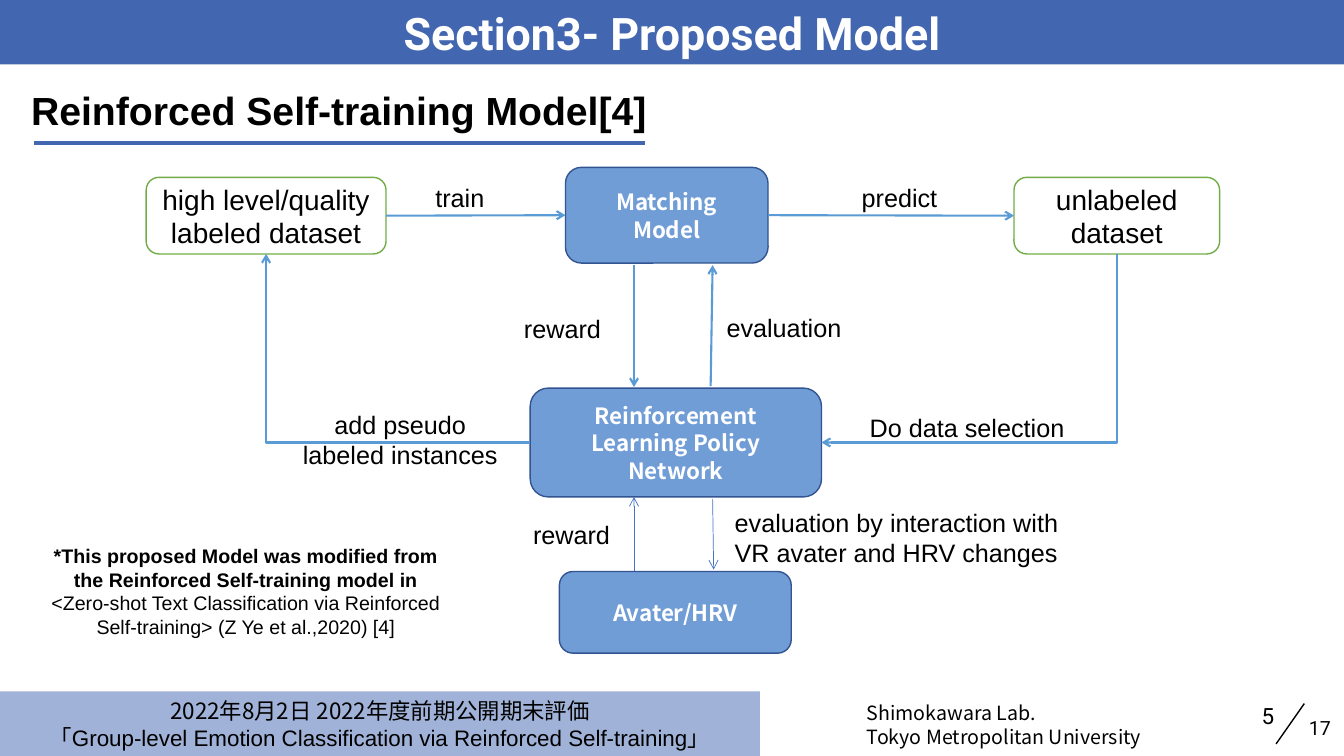
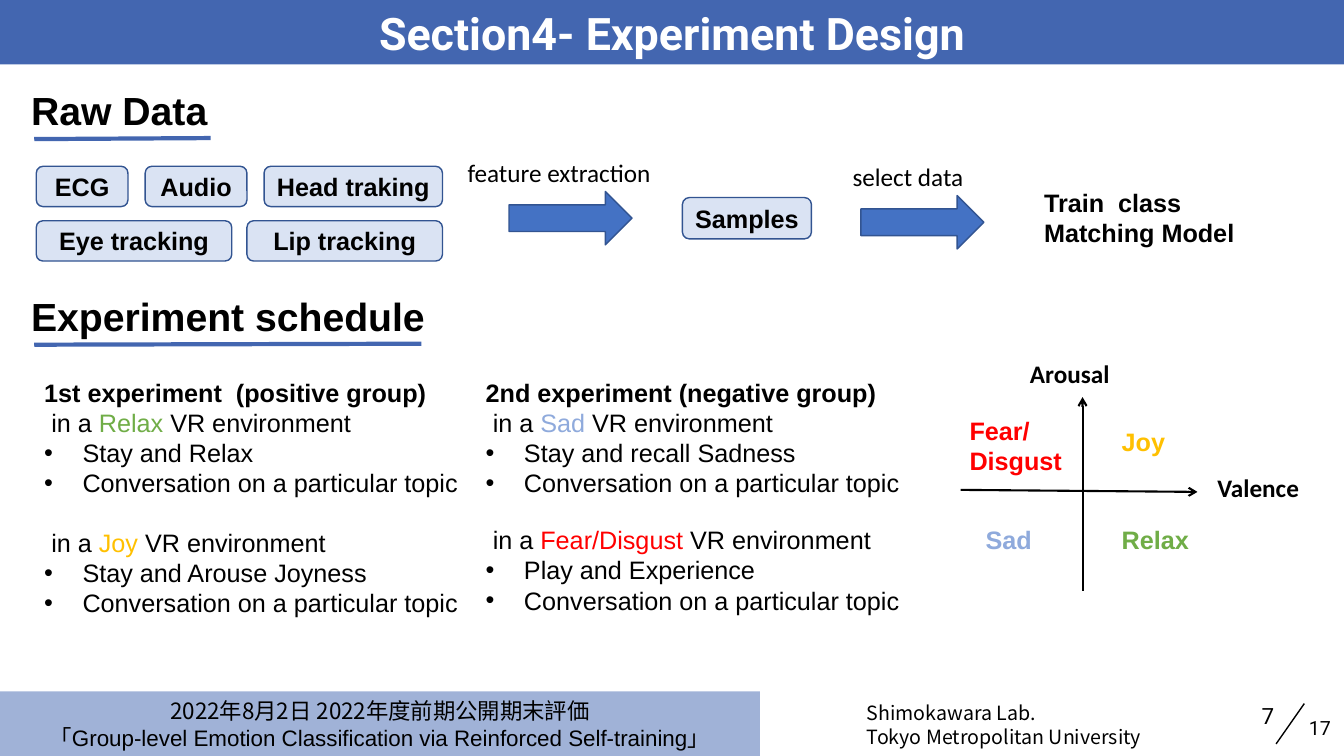
from lxml import etree
from pptx import Presentation
from pptx import util as u
from pptx.dml.color import RGBColor
from pptx.enum import shapes, text
from pptx.oxml import ns

PX = 9144  # EMU, one hundredth of an inch
COLOURS = {
    "band": "4366B0", "black": "000000", "white": "FFFFFF",
    "model": "719DD7", "outline": "325491", "data": "DAE3F3",
    "flow": "5B9BD5", "arrow": "4472C4", "green": "70AD47",
    "yellow": "FFC000", "blue": "8FAADC", "red": "FF0000",
}
CJK = "Noto Sans CJK JP"
LEFT, CENTRE, RIGHT = text.PP_ALIGN.LEFT, text.PP_ALIGN.CENTER, text.PP_ALIGN.RIGHT
RECT = shapes.MSO_SHAPE.RECTANGLE
ROUNDED = shapes.MSO_SHAPE.ROUNDED_RECTANGLE
BLOCK_ARROW = shapes.MSO_SHAPE.RIGHT_ARROW
STRAIGHT, ELBOW = shapes.MSO_CONNECTOR.STRAIGHT, shapes.MSO_CONNECTOR.ELBOW


def add_box(page, place, lines=(), kind=None, fill=None, outline=None, align=LEFT, **style):
    """Fill the title, a preset shape or a text box (kind None).

    A line is a string or a list of (text, style changes) runs.
    """
    left, top, width, height = [value * PX for value in place]
    if kind == "title":
        box = page.shapes.title
        box.left, box.top, box.width, box.height = left, top, width, height
    elif kind is None:
        box = page.shapes.add_textbox(left, top, width, height)
    else:
        box = page.shapes.add_shape(kind, left, top, width, height)
        box.shadow.inherit = False
        if outline:
            box.line.color.rgb = RGBColor.from_string(COLOURS[outline])
            box.line.width = u.Pt(1)
        else:
            box.line.fill.background()
    if fill:
        box.fill.solid()
        box.fill.fore_color.rgb = RGBColor.from_string(COLOURS[fill])

    frame = box.text_frame
    frame.word_wrap = True
    frame.auto_size = text.MSO_AUTO_SIZE.NONE
    frame.vertical_anchor = text.MSO_ANCHOR.TOP
    if kind is not None:
        frame.vertical_anchor = text.MSO_ANCHOR.MIDDLE
        frame.margin_left = frame.margin_right = 5 * PX
    base = {"size": 18, "font": "Arial", "colour": "black", "bold": False} | style
    for number, line in enumerate(lines):
        para = frame.add_paragraph() if number else frame.paragraphs[0]
        para.alignment = align
        if base["font"] == CJK:
            para.line_spacing = u.Pt(1.22 * base["size"])
        for words, changes in [(line, {})] if isinstance(line, str) else line:
            look = base | changes
            span = para.add_run()
            span.text = words
            span.font.size = u.Pt(look["size"])
            span.font.bold = look["bold"]
            span.font.name = look["font"]
            span.font.color.rgb = RGBColor.from_string(COLOURS[look["colour"]])
            if look["font"] == CJK:
                etree.SubElement(span.font._element, ns.qn("a:ea"), typeface=CJK)
    return box


def add_line(page, start, end, colour, width, arrow=None, kind=STRAIGHT):
    """Draw a connector; arrow is headEnd (at start) or tailEnd (at end)."""
    line = page.shapes.add_connector(kind, *[value * PX for value in (*start, *end)])
    line.line.color.rgb = RGBColor.from_string(COLOURS[colour])
    line.line.width = u.Pt(width)
    properties = line._element.spPr
    if arrow:
        etree.SubElement(properties.find(ns.qn("a:ln")), ns.qn("a:" + arrow), type="arrow")
    if kind == ELBOW:
        properties.find(ns.qn("a:prstGeom")).set("prst", "bentConnector2")
    etree.SubElement(properties, ns.qn("a:effectLst"))
    return line


deck = Presentation()
deck.slide_width, deck.slide_height = u.Emu(12192000), u.Emu(6858000)

# Parts shared by every slide: title band, footer, page number, headings
pages = []
for title, number, headings in [
    ("Section3- Proposed Model", "5",
     [("Reinforced Self-training Model[4]", 81, 642, (142, 142), 640)]),
    ("Section4- Experiment Design", "7",
     [("Raw Data", 81, 391, (138, 137), 209),
      ("Experiment schedule", 285, 464, (342, 341), 418)]),
]:
    page = deck.slides.add_slide(deck.slide_layouts[5])
    pages.append(page)
    add_box(page, (0, 0, 1334, 64), [title], "title", "band",
            align=CENTRE, size=32, font="Roboto", colour="white", bold=True)
    footer = add_box(page, (0, 686, 754, 64), [
        "2022年8月2日 2022年度前期公開期末評価",
        [("「", {}),
         ("Group-level Emotion Classification via Reinforced Self-training", {"font": "Arial"}),
         ("」", {})],
    ], RECT, "band", align=CENTRE, size=16, font=CJK)
    tint = footer._element.spPr.find(ns.qn("a:solidFill"))[0]
    etree.SubElement(tint, ns.qn("a:alpha"), val="50000")
    add_box(page, (850, 690, 341, 57), ["Shimokawara Lab.", "Tokyo Metropolitan University"],
            size=14, font=CJK)
    add_line(page, (1294, 698), (1266, 738), "black", 1)
    add_box(page, (1286, 705, 47, 34), ["17"], align=CENTRE, size=14, font="Roboto")
    add_box(page, (1215, 692, 59, 40), [number], align=RIGHT, size=16, font="Roboto")
    for heading, top, width, (start_y, end_y), end_x in headings:
        add_box(page, (21, top, width, 57), [heading], size=28, bold=True)
        add_line(page, (34, start_y), (end_x, end_y), "band", 3)

model_page, experiment_page = pages

# Proposed model: boxes
data_style = {"kind": ROUNDED, "fill": "white", "outline": "green", "align": CENTRE, "size": 20}
model_style = {"kind": ROUNDED, "fill": "model", "outline": "outline", "align": CENTRE,
               "size": 16, "font": CJK, "colour": "white", "bold": True}
labeled = add_box(model_page, (145, 176, 238, 76),
                  ["high level/quality", "labeled dataset"], **data_style)
unlabeled = add_box(model_page, (1006, 176, 204, 76), ["unlabeled", "dataset"], **data_style)
matching = add_box(model_page, (561, 166, 201, 95), ["Matching", "Model"], **model_style)
policy = add_box(model_page, (526, 385, 289, 108),
                 ["Reinforcement", "Learning Policy", "Network"], **model_style)
add_box(model_page, (555, 567, 230, 81), ["Avater/HRV"], **model_style)

# Proposed model: arrows
TOP, WEST, BOTTOM, EAST = range(4)
for source, source_side, start, target, target_side, end, arrow, kind in [
    (labeled, EAST, (383, 214), matching, WEST, (561, 214), "tailEnd", STRAIGHT),
    (matching, EAST, (762, 214), unlabeled, WEST, (1006, 214), "tailEnd", STRAIGHT),
    (policy, EAST, (815, 439), unlabeled, BOTTOM, (1108, 252), "headEnd", ELBOW),
    (policy, WEST, (526, 439), labeled, BOTTOM, (264, 252), "tailEnd", ELBOW),
]:
    link = add_line(model_page, start, end, "flow", 1.5, arrow, kind)
    link.begin_connect(source, source_side)
    link.end_connect(target, target_side)
for start, end, colour, width in [
    ((629, 263), (629, 384), "flow", 1.5),
    ((705, 383), (707, 263), "flow", 1.5),
    ((629, 566), (629, 493), "arrow", 0.5),
    ((707, 495), (708, 565), "arrow", 0.5),
]:
    add_line(model_page, start, end, colour, width, "tailEnd")

# Proposed model: labels
for place, lines, align in [
    ((422, 176, 89, 40), ["train"], LEFT),
    ((845, 176, 120, 40), ["predict"], LEFT),
    ((510, 306, 124, 40), ["reward"], LEFT),
    ((711, 305, 156, 40), ["evaluation"], LEFT),
    ((853, 404, 292, 40), ["Do data selection"], LEFT),
    ((283, 401, 228, 71), ["add pseudo", "labeled instances"], CENTRE),
    ((519, 510, 106, 40), ["reward"], LEFT),
    ((719, 498, 448, 71),
     ["evaluation by interaction with", "VR avater and HRV changes"], LEFT),
]:
    add_box(model_page, place, lines, align=align)
add_box(model_page, (34, 535, 420, 104), [
    [("*This proposed Model was modified from the Reinforced Self-training model in",
      {"bold": True})],
    "<Zero-shot Text Classification via Reinforced Self-training> (Z Ye et al.,2020) [4]",
], align=CENTRE, size=14)

# Experiment design: data pipeline
for left, top, width, height, label in [
    (36, 165, 91, 40, "ECG"), (144, 165, 101, 40, "Audio"), (262, 165, 177, 40, "Head traking"),
    (36, 219, 194, 40, "Eye tracking"), (245, 219, 194, 40, "Lip tracking"),
    (677, 196, 128, 41, "Samples"),
]:
    add_box(experiment_page, (left, top, width, height), [label], ROUNDED, "data", "outline",
            CENTRE, bold=True)
for left, top, label, label_left, label_top, label_width in [
    (505, 190, "feature extraction", 454, 151, 224),
    (854, 194, "select data", 836, 155, 152),
]:
    add_box(experiment_page, (left, top, 122, 53), (), BLOCK_ARROW, "arrow", "outline")
    add_box(experiment_page, (label_left, label_top, label_width, 40), [label], font="Calibri")
add_box(experiment_page, (1026, 181, 228, 71), ["Train  class", "Matching Model"], bold=True)

# Experiment design: schedule
for left, width, heading, gap, sessions in [
    (34, 438, "1st experiment  (positive group)", 21,
     [("Relax", "green", "Stay and Relax"), ("Joy", "yellow", "Stay and Arouse Joyness")]),
    (472, 505, "2nd experiment (negative group)", 19,
     [("Sad", "blue", "Stay and recall Sadness"),
      ("Fear/Disgust", "red", "Play and Experience")]),
]:
    lines = [[(heading, {"bold": True})]]
    for mood, colour, task in sessions:
        lines += [[("in a ", {}), (mood, {"colour": colour}), (" VR environment", {})],
                  task, "Conversation on a particular topic"]
    schedule = add_box(experiment_page, (left, 369, width, 252), lines)
    paras = schedule.text_frame.paragraphs
    for index, para in enumerate(paras[1:]):
        layout = para._element.get_or_add_pPr()
        if index % 3:
            layout.set("marL", str(38 * PX))
            layout.set("indent", str(-38 * PX))
            etree.SubElement(layout, ns.qn("a:buFont"), typeface="Arial")
            etree.SubElement(layout, ns.qn("a:buChar"), char="•")
        else:
            layout.set("marL", str(7 * PX))
    paras[4].space_before = u.Pt(gap)

# Experiment design: emotion axes
add_line(experiment_page, (953, 486), (1188, 488), "black", 1.5, "tailEnd")
add_line(experiment_page, (1074, 586), (1074, 394), "black", 1.5, "tailEnd")
for place, lines, font, colour in [
    ((1198, 464, 119, 40), ["Valence"], "Calibri", "black"),
    ((1012, 351, 124, 40), ["Arousal"], "Calibri", "black"),
    ((968, 515, 70, 40), ["Sad"], "Arial", "blue"),
    ((952, 407, 119, 71), ["Fear/", "Disgust"], "Arial", "red"),
    ((1103, 418, 75, 40), ["Joy"], "Arial", "yellow"),
    ((1103, 515, 95, 40), ["Relax"], "Arial", "green"),
]:
    add_box(experiment_page, place, lines, font=font, colour=colour, bold=True)

deck.save("out.pptx")
